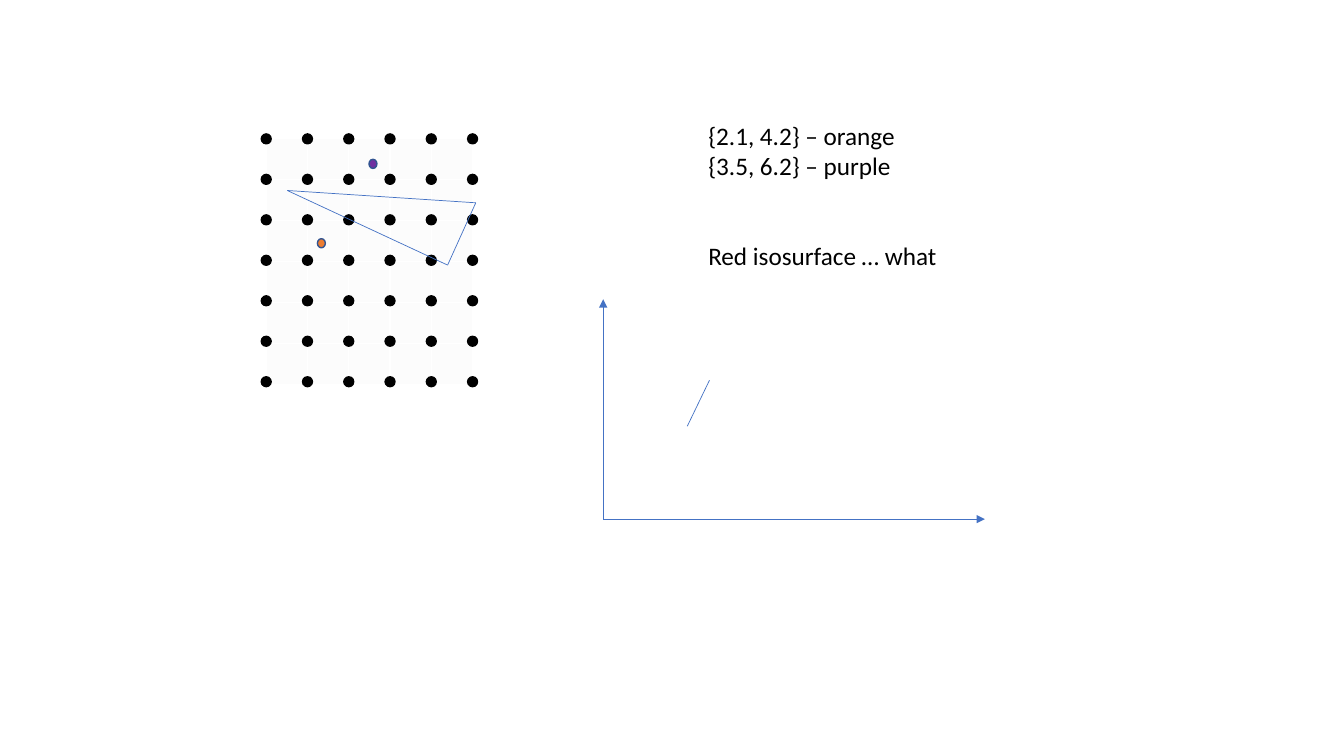
import itertools

import pptx
import pptx.dml.color
import pptx.enum.shapes
import pptx.oxml
import pptx.oxml.ns
import pptx.util

Cm = pptx.util.Cm
Pt = pptx.util.Pt

BLACK, BLUE, DARK_BLUE = "000000", "4472C4", "325491"
ORANGE, PURPLE, GREY = "ED7D31", "7030A0", "F2F2F2"

COLUMNS, ROWS = 5, 6
GRID_LEFT, GRID_TOP = 6.71, 3.5
STEP_X, STEP_Y = 1.04, 1.02


def color(hex_text):
    """Return the colour for a hex string."""
    return pptx.dml.color.RGBColor.from_string(hex_text)


def add_xml(parent, tag, **attributes):
    """Append a DrawingML element with attributes to a parent."""
    element = pptx.oxml.parse_xml(f"<{tag} {pptx.oxml.ns.nsdecls('a')}/>")
    for name, value in attributes.items():
        element.set(name, value)
    parent.append(element)


def add_grid(slide):
    """Add the pale, translucent table behind the grid points."""
    frame = slide.shapes.add_table(
        ROWS, COLUMNS, Cm(GRID_LEFT), Cm(GRID_TOP),
        Cm(COLUMNS * STEP_X), Cm(ROWS * STEP_Y))
    table = frame.table
    table.first_row = False
    table.horz_banding = False
    for column in table.columns:
        column.width = Cm(STEP_X)
    for row in table.rows:
        row.height = Cm(STEP_Y)
    for cell in table.iter_cells():
        cell.fill.solid()
        cell.fill.fore_color.rgb = color(GREY)
        for fill_color in cell._tc.iter(pptx.oxml.ns.qn("a:srgbClr")):
            add_xml(fill_color, "a:alpha", val="20000")


def add_dot(slide, center, width, height, fill, line):
    """Add an ellipse around a center point."""
    x, y = center
    dot = slide.shapes.add_shape(
        pptx.enum.shapes.MSO_SHAPE.OVAL,
        Cm(x - width / 2), Cm(y - height / 2), Cm(width), Cm(height))
    dot.shadow.inherit = False
    dot.fill.solid()
    dot.fill.fore_color.rgb = color(fill)
    dot.line.color.rgb = color(line)
    dot.line.width = Pt(1)


def add_line(slide, start, end, arrow=False):
    """Add a thin blue line, with an arrowhead at its end if asked."""
    line = slide.shapes.add_connector(
        pptx.enum.shapes.MSO_CONNECTOR.STRAIGHT,
        *(Cm(value) for value in start + end))
    line.line.color.rgb = color(BLUE)
    line.line.width = Pt(0.5)
    if arrow:
        add_xml(line.line._get_or_add_ln(), "a:tailEnd", type="triangle")
    add_xml(line._element.spPr, "a:effectLst")


def write_paragraph(paragraph, text, size=18, font="Calibri",
                    text_color=BLACK, space_before=0):
    """Write formatted text into a paragraph."""
    paragraph.space_before = Pt(space_before)
    run = paragraph.add_run()
    run.text = text
    run.font.size = Pt(size)
    run.font.name = font
    run.font.color.rgb = color(text_color)


def add_notes_box(slide):
    """Add the text box that explains the sample points."""
    box = slide.shapes.add_textbox(Cm(17.6), Cm(2.9), Cm(7.67), Cm(5.64))
    frame = box.text_frame
    frame.word_wrap = True
    write_paragraph(frame.paragraphs[0], "{2.1, 4.2} – orange")
    write_paragraph(frame.add_paragraph(), "{3.5, 6.2} – purple ")
    write_paragraph(frame.add_paragraph(), "Red isosurface … what ",
                    space_before=43)


def main():
    """Build the slide and save it."""
    presentation = pptx.Presentation()
    presentation.slide_width = Cm(33.87)
    presentation.slide_height = Cm(19.05)
    slide = presentation.slides.add_slide(presentation.slide_layouts[6])

    add_grid(slide)
    for row, column in itertools.product(range(ROWS + 1), range(COLUMNS + 1)):
        center = (GRID_LEFT + column * STEP_X, GRID_TOP + row * STEP_Y)
        add_dot(slide, center, 0.25, 0.25, BLACK, BLACK)

    origin = (15.2, 13.08)
    for axis_end in ((24.82, 13.08), (15.2, 7.54)):
        add_line(slide, origin, axis_end, arrow=True)

    add_dot(slide, (8.1, 6.13), 0.2, 0.23, ORANGE, DARK_BLUE)
    triangle = [(7.24, 4.8), (11.28, 6.68), (11.99, 5.11)]
    for start, end in itertools.combinations(triangle, 2):
        add_line(slide, start, end)
    add_line(slide, (17.32, 10.74), (17.88, 9.58))
    add_dot(slide, (9.4, 4.13), 0.2, 0.23, PURPLE, DARK_BLUE)

    add_notes_box(slide)
    presentation.save("out.pptx")


main()
